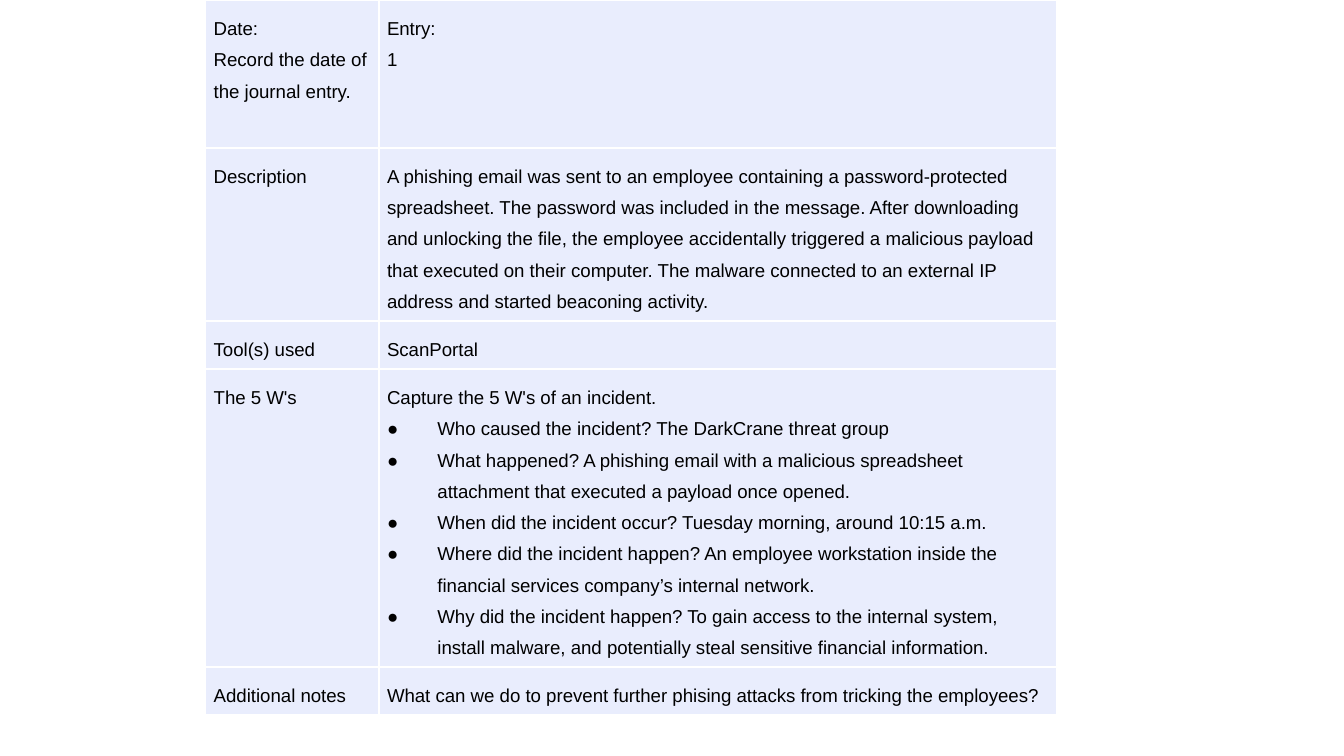
from lxml import etree
from pptx import Presentation
from pptx import util as u
from pptx.dml.color import RGBColor
from pptx.oxml import ns

WIDTH = 10
HEIGHT = WIDTH * 9 / 16
FONT, SIZE = "Arial", 10
INK, PANEL, RULE = "000000", "E9EDFD", "FFFFFF"
COLUMN_WIDTHS = [1.29, 5.04]
ROW_HEIGHTS = [1.1, 0.35, 0.35, 1.59, 0.35]
TABLE_HEIGHT = 5.48
SIDE_MARGIN, END_MARGIN, INDENT = 0.06, 1 / 16, 3 / 8
BULLET = "●"

# Lines that start with the bullet sign become list items.
JOURNAL = [
    (["Date:", "Record the date of the journal entry."], ["Entry:", "1"]),
    (["Description"],
     ["A phishing email was sent to an employee containing a password-protected "
      "spreadsheet. The password was included in the message. After downloading "
      "and unlocking the file, the employee accidentally triggered a malicious "
      "payload that executed on their computer. The malware connected to an "
      "external IP address and started beaconing activity."]),
    (["Tool(s) used"], ["ScanPortal"]),
    (["The 5 W's"],
     ["Capture the 5 W's of an incident.",
      "●Who caused the incident? The DarkCrane threat group",
      "●What happened? A phishing email with a malicious spreadsheet "
      "attachment that executed a payload once opened.",
      "●When did the incident occur? Tuesday morning, around 10:15 a.m.",
      "●Where did the incident happen? An employee workstation inside the "
      "financial services company’s internal network.",
      "●Why did the incident happen? To gain access to the internal system, "
      "install malware, and potentially steal sensitive financial information."]),
    (["Additional notes"],
     ["What can we do to prevent further phising attacks from tricking the employees?"]),
]


def color(value):
    return RGBColor.from_string(value)


def add_child(parent, tag, **attributes):
    return etree.SubElement(parent, ns.qn(tag), attributes)


def add_bullet(p):
    pPr = p._p.get_or_add_pPr()
    pPr.set("marL", str(u.Inches(INDENT)))
    pPr.set("indent", str(-u.Inches(INDENT)))
    add_child(add_child(pPr, "a:buClr"), "a:srgbClr", val=INK)
    add_child(pPr, "a:buFont", typeface=FONT)
    add_child(pPr, "a:buChar", char=BULLET)


def write_lines(tf, lines):
    for i, line in enumerate(lines):
        p = tf.paragraphs[0] if i == 0 else tf.add_paragraph()
        p.text = line.removeprefix(BULLET)
        p.line_spacing = 1.5
        if line.startswith(BULLET):
            add_bullet(p)
        p.font.name, p.font.size = FONT, u.Pt(SIZE)
        p.font.color.rgb = color(INK)


def style_cell(cell):
    """Borders go in before the fill, as the schema orders them."""
    tcPr = cell._tc.get_or_add_tcPr()
    for side in ("a:lnL", "a:lnR", "a:lnT", "a:lnB"):
        ln = add_child(tcPr, side, w=str(u.Pt(1)))
        add_child(add_child(ln, "a:solidFill"), "a:srgbClr", val=RULE)
    cell.fill.solid()
    cell.fill.fore_color.rgb = color(PANEL)
    cell.margin_left = cell.margin_right = u.Inches(SIDE_MARGIN)
    cell.margin_top = cell.margin_bottom = u.Inches(END_MARGIN)


def add_journal(s, left, top):
    frame = s.shapes.add_table(
        len(ROW_HEIGHTS), len(COLUMN_WIDTHS), u.Inches(left), u.Inches(top),
        u.Inches(sum(COLUMN_WIDTHS)), u.Inches(TABLE_HEIGHT))
    table = frame.table
    table.first_row = table.horz_banding = False
    for column, width in zip(table.columns, COLUMN_WIDTHS):
        column.width = u.Inches(width)
    for row, height, entry in zip(table.rows, ROW_HEIGHTS, JOURNAL):
        row.height = u.Inches(height)
        for cell, lines in zip(row.cells, entry):
            style_cell(cell)
            write_lines(cell.text_frame, lines)
    # Row heights reset the frame; the text makes the rows grow past them.
    frame.height = u.Inches(TABLE_HEIGHT)


def main():
    prs = Presentation()
    prs.slide_width, prs.slide_height = u.Inches(WIDTH), u.Inches(HEIGHT)
    s = prs.slides.add_slide(prs.slide_layouts[6])
    add_journal(s, 1.53, 0)
    prs.save("out.pptx")


if __name__ == "__main__":
    main()
